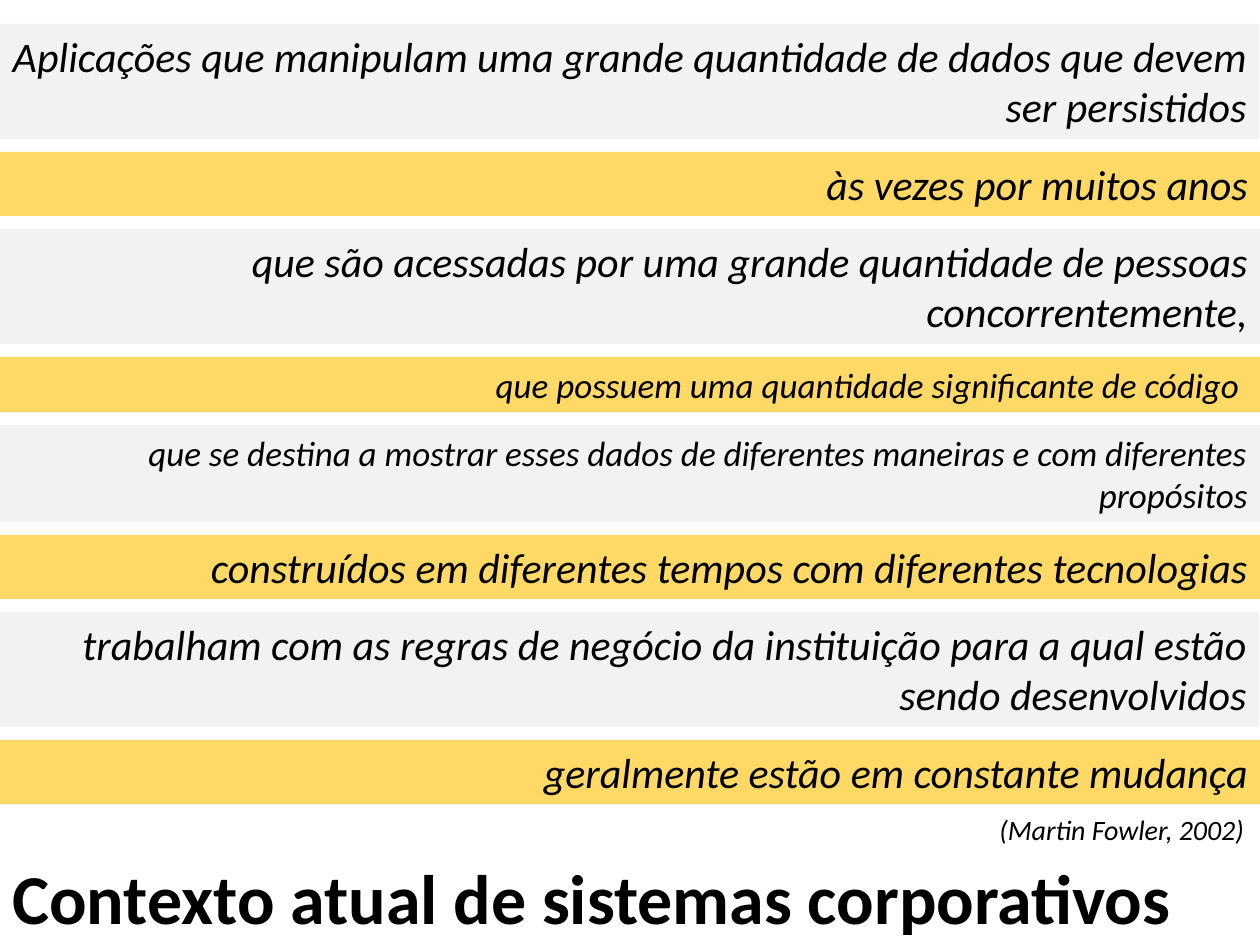
from dataclasses import dataclass

from pptx import Presentation
from pptx.dml.color import RGBColor
from pptx.enum.shapes import MSO_SHAPE
from pptx.enum.text import MSO_ANCHOR, MSO_AUTO_SIZE, PP_ALIGN
from pptx.util import Emu, Pt

SLIDE_W, SLIDE_H = 1260, 945
FIRST_TOP, GAP = 24, 13
GRAY, YELLOW, BLACK = "F2F2F2", "FFD966", "000000"
FONT = "Calibri"


@dataclass
class Band:
    text: str
    height: int
    size: int = 24
    left: int = 0
    width: int = SLIDE_W


@dataclass
class Label:
    text: str
    left: int
    top: int
    width: int
    height: int
    size: int
    bold: bool = False
    italic: bool = False


BANDS = [
    Band("Aplicações que manipulam uma grande quantidade de dados que devem ser persistidos", 115, left=-1),
    Band("às vezes por muitos anos", 64),
    Band("que são acessadas por uma grande quantidade de pessoas concorrentemente,", 115),
    Band("que possuem uma quantidade significante de código ", 55, size=20),
    Band("que se destina a mostrar esses dados de diferentes maneiras e com diferentes propósitos", 97, size=20),
    Band("construídos em diferentes tempos com diferentes tecnologias", 64),
    Band("trabalham com as regras de negócio da instituição para a qual estão sendo desenvolvidos", 115, width=1259),
    Band("geralmente estão em constante mudança", 64),
]

LABELS = [
    Label("(Martin Fowler, 2002)", 987, 806, 273, 47, 16, italic=True),
    Label("Contexto atual de sistemas corporativos", 0, 848, 1207, 97, 40, bold=True),
]


def px(n: int) -> Emu:
    return Emu(round(n * 914400 / 126))


def color(value: str) -> RGBColor:
    return RGBColor.from_string(value)


def write(sp, text: str, size: int, align: PP_ALIGN, bold: bool, italic: bool) -> None:
    tf = sp.text_frame
    tf.text = text
    tf.word_wrap = True
    tf.auto_size = MSO_AUTO_SIZE.SHAPE_TO_FIT_TEXT
    tf.vertical_anchor = MSO_ANCHOR.TOP
    p = tf.paragraphs[0]
    p.alignment = align
    font = p.runs[0].font
    font.name = FONT
    font.size = Pt(size)
    font.bold = bold
    font.italic = italic
    font.color.rgb = color(BLACK)


def draw_band(s, band: Band, top: int, fill: str) -> None:
    sp = s.shapes.add_shape(
        MSO_SHAPE.RECTANGLE, px(band.left), px(top), px(band.width), px(band.height)
    )
    sp.shadow.inherit = False
    sp.fill.solid()
    sp.fill.fore_color.rgb = color(fill)
    sp.line.fill.background()
    write(sp, band.text, band.size, PP_ALIGN.RIGHT, False, True)


def draw_label(s, label: Label) -> None:
    sp = s.shapes.add_textbox(
        px(label.left), px(label.top), px(label.width), px(label.height)
    )
    write(sp, label.text, label.size, PP_ALIGN.LEFT, label.bold, label.italic)


def main() -> None:
    prs = Presentation()
    prs.slide_width, prs.slide_height = px(SLIDE_W), px(SLIDE_H)
    s = prs.slides.add_slide(prs.slide_layouts[6])
    top = FIRST_TOP
    for i, band in enumerate(BANDS):
        draw_band(s, band, top, YELLOW if i % 2 else GRAY)
        top += band.height + GAP
    for label in LABELS:
        draw_label(s, label)
    prs.save("out.pptx")


if __name__ == "__main__":
    main()
